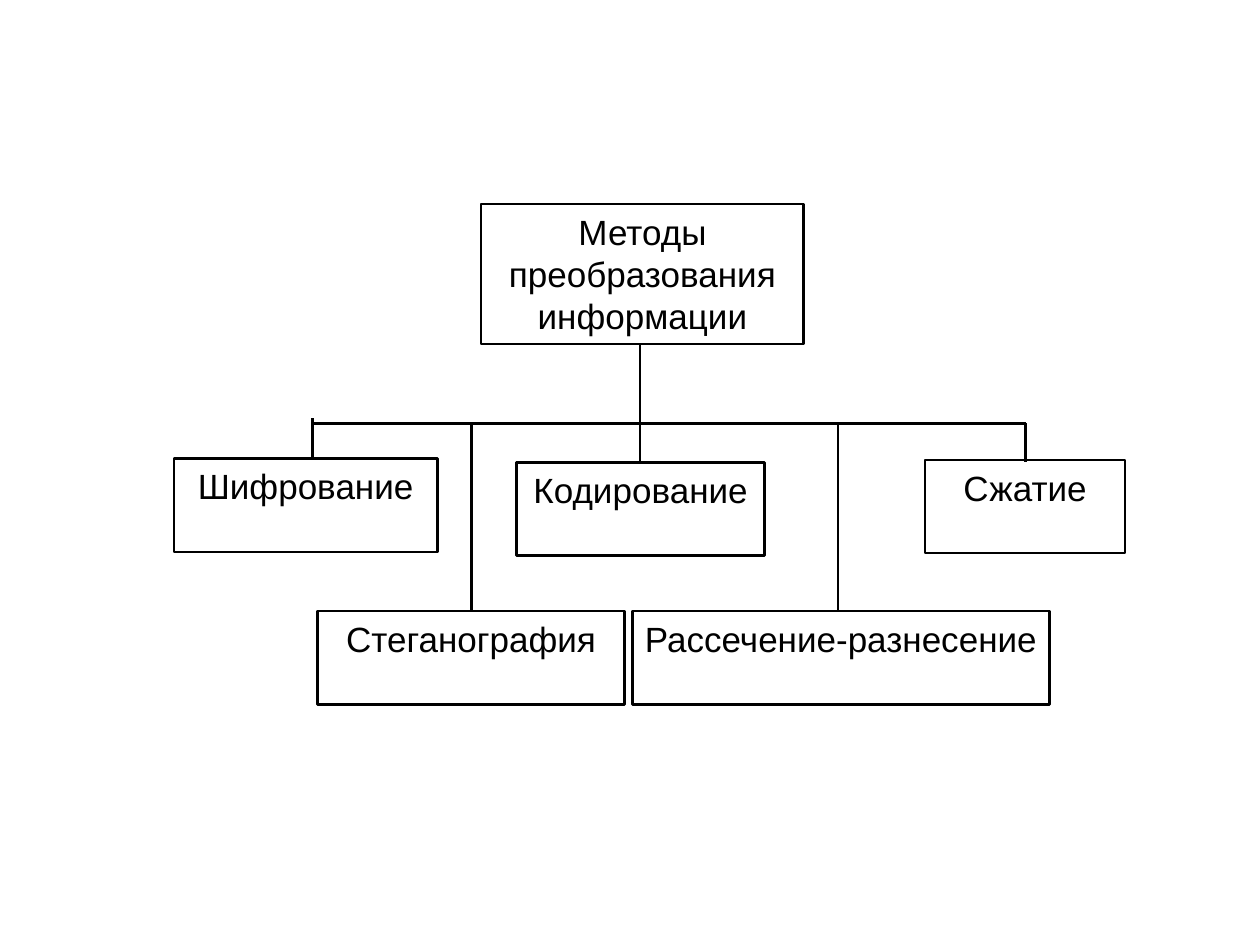
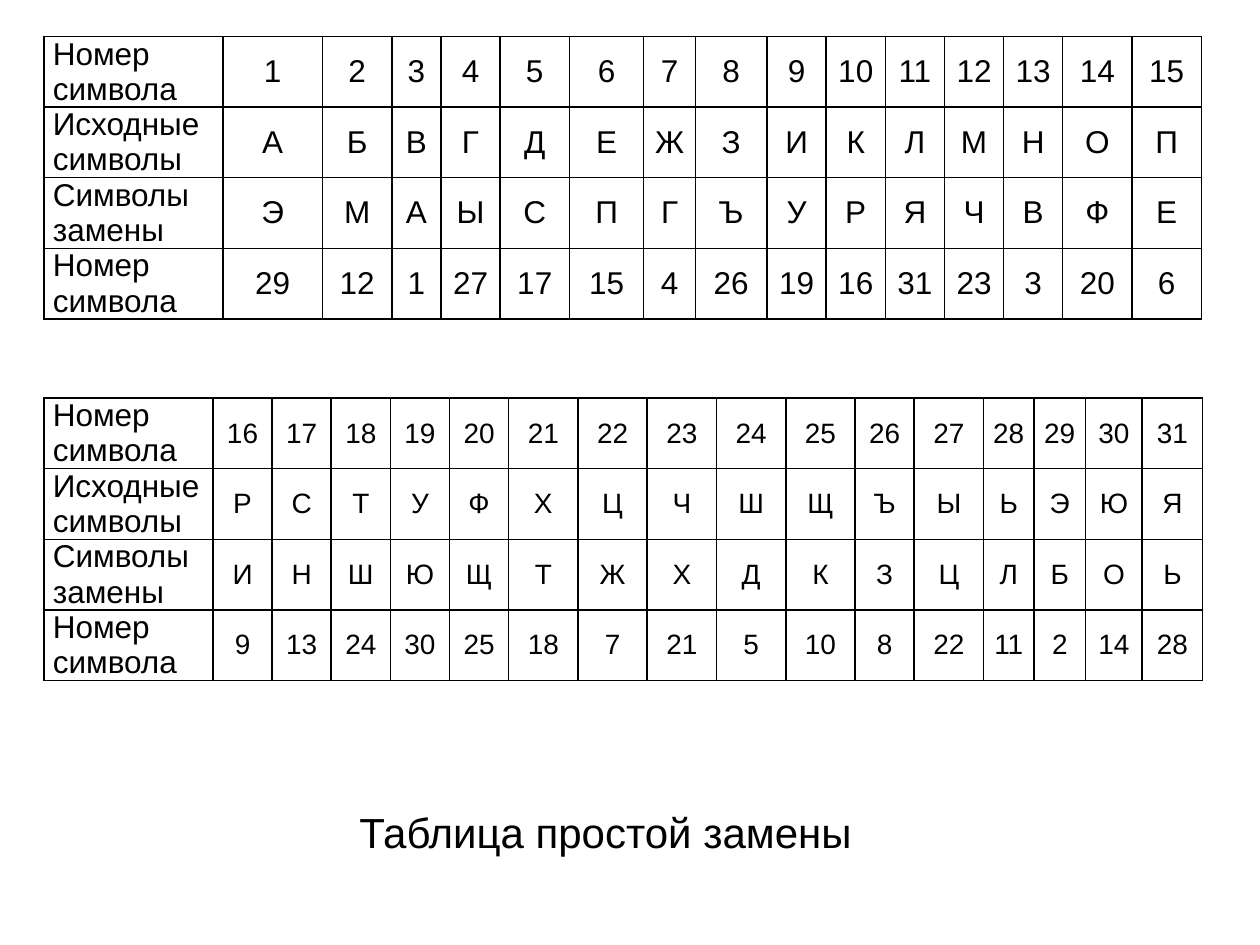
from lxml import etree
from pptx import Presentation
from pptx import util as u
from pptx.dml.color import RGBColor
from pptx.enum import shapes, text
from pptx.oxml import ns

BLACK = RGBColor(0x00, 0x00, 0x00)
WHITE = RGBColor(0xFF, 0xFF, 0xFF)
FONT = "Arial"
CENTER, JUSTIFY = text.PP_ALIGN.CENTER, text.PP_ALIGN.JUSTIFY


def write(frame, words, size, align=CENTER, after=0, **frame_format):
    """Fill a text frame and set its format; line breaks start paragraphs."""
    frame.text = words
    for name, value in frame_format.items():
        setattr(frame, name, value)
    for para in frame.paragraphs:
        para.alignment = align
        para.space_after = u.Pt(after)
        for span in para.runs:
            for name, value in {"name": FONT, "size": u.Pt(size)}.items():
                setattr(span.font, name, value)
            span.font.color.rgb = BLACK


def add_border(cell):
    """Draw a thin black line on all four sides of a table cell."""
    properties = cell._tc.get_or_add_tcPr()
    for side in ("a:lnL", "a:lnR", "a:lnT", "a:lnB"):
        line = etree.SubElement(properties, ns.qn(side), w=str(u.Pt(1)))
        fill = etree.SubElement(line, ns.qn("a:solidFill"))
        etree.SubElement(fill, ns.qn("a:srgbClr"), val=str(BLACK))


deck = Presentation()
deck.slide_width, deck.slide_height = u.Pt(720), u.Pt(540)
blank = deck.slide_layouts[6]

# Slide 1: tree of methods
page = deck.slides.add_slide(blank)

# Boxes: words, left, top, width, height
methods = [
    ("Шифрование", 99.4, 262.1, 150.5, 53.3),
    ("Стеганография", 181.4, 349.2, 175.7, 53.3),
    ("Кодирование", 295.2, 264.2, 141.8, 53.3),
    ("Рассечение-разнесение", 361.4, 349.2, 238.3, 53.3),
    ("Сжатие", 528.5, 262.8, 114.5, 53.3),
    ("Методы преобразования информации", 275, 116.6, 184.3, 79.9),
]
for words, *place in methods:
    box = page.shapes.add_shape(shapes.MSO_SHAPE.RECTANGLE, *map(u.Pt, place))
    box.shadow.inherit = False
    box.fill.solid()
    box.fill.fore_color.rgb = WHITE
    box.line.color.rgb = BLACK
    box.line.width = u.Pt(1.5)
    write(box.text_frame, words, 20, after=10, word_wrap=True,
          vertical_anchor=text.MSO_ANCHOR.TOP)

# Branches: the bar, the stem above it and a drop to each method
BAR = 241.9
branches = [
    (178.6, BAR, 586.1, BAR),
    (365.8, 196.6, 365.8, BAR),
    (178.6, 239, 178.6, 262.1),
    (269.3, BAR, 269.3, 349.2),
    (365.8, BAR, 365.8, 265),
    (478.8, BAR, 478.8, 349.2),
    (586.1, BAR, 586.1, 264.2),
]
for ends in branches:
    branch = page.shapes.add_connector(shapes.MSO_CONNECTOR.STRAIGHT, *map(u.Pt, ends))
    branch.line.color.rgb = BLACK
    branch.line.width = u.Pt(1.5)
    etree.SubElement(branch._element.spPr, ns.qn("a:effectLst"))

# Slide 2: simple substitution cipher
page = deck.slides.add_slide(blank)
ALPHABET = "АБВГДЕЖЗИКЛМНОПРСТУФХЦЧШЩЪЫЬЭЮЯ"
CIPHER = "ЭМАЫСПГЪУРЯЧВФЕИНШЮЩТЖХДКЗЦЛБОЬ"
ROW_HEIGHT = 40.3
labels = ["Номер символа", "Исходные\nсимволы", "Символы замены", "Номер символа"]
key_rows = [
    range(1, len(ALPHABET) + 1),
    ALPHABET,
    CIPHER,
    [ALPHABET.index(letter) + 1 for letter in CIPHER],
]
cell_margins = {"margin_left": u.Pt(5), "margin_right": u.Pt(5),
                "margin_top": 0, "margin_bottom": 0}

# Tables: top, text size, first and last symbol, column widths
tables = [
    (20.9, 18, 0, 15, [102.2, 56.9, 39.6, 28.1, 33.8, 39.6, 42.5, 29.5, 41]
     + [33.8] * 5 + [39.6] * 2),
    (227.5, 16, 15, 31, [96.5] + [33.8] * 5 + [39.6] * 5
     + [33.8, 39.6, 28.8, 29.5, 32.4, 34.6]),
]
for top, size, first, last, widths in tables:
    grid = page.shapes.add_table(
        len(labels), len(widths), u.Pt(25.2), u.Pt(top),
        u.Pt(sum(widths)), u.Pt(ROW_HEIGHT * len(labels))).table
    grid.first_row = grid.horz_banding = False
    for column, width in zip(grid.columns, widths):
        column.width = u.Pt(width)
    for row, label, symbols in zip(grid.rows, labels, key_rows):
        row.height = u.Pt(ROW_HEIGHT)
        for cell, words in zip(row.cells, [label, *symbols[first:last]]):
            for name, value in cell_margins.items():
                setattr(cell, name, value)
            add_border(cell)
            cell.fill.background()
            if words is label:
                write(cell.text_frame, words, 18, JUSTIFY)
            else:
                cell.vertical_anchor = text.MSO_ANCHOR.MIDDLE
                write(cell.text_frame, str(words), size)

# Caption
caption = page.shapes.add_textbox(*map(u.Pt, (178.6, 457.2, 334.8, 36)))
write(caption.text_frame, "Таблица простой замены", 24, word_wrap=True,
      auto_size=text.MSO_AUTO_SIZE.SHAPE_TO_FIT_TEXT)

deck.save("out.pptx")
